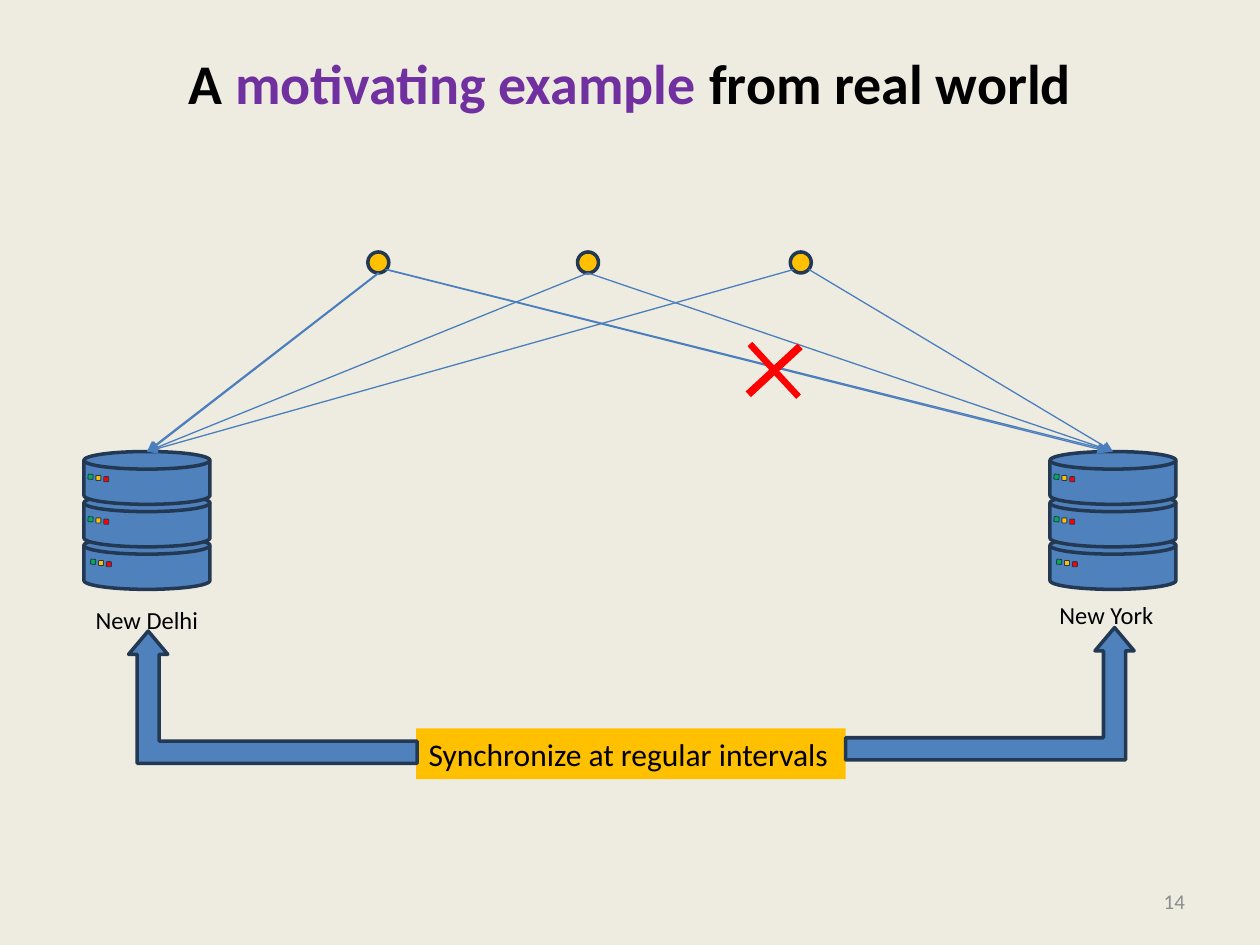
from lxml import etree
from pptx import Presentation
from pptx.dml.color import RGBColor
from pptx.enum import shapes, text
from pptx.oxml.ns import qn
from pptx.util import Pt

CREAM = RGBColor(0xEE, 0xEC, 0xE1)
BLACK = RGBColor(0, 0, 0)
PURPLE = RGBColor(0x70, 0x30, 0xA0)
GREY = RGBColor(0x8C, 0x8C, 0x8C)
BLUE = RGBColor(0x4F, 0x81, 0xBD)
NAVY = RGBColor(0x23, 0x39, 0x53)
LINK = RGBColor(0x4B, 0x7E, 0xBC)
GOLD = RGBColor(0xFF, 0xC0, 0x00)
GREEN = RGBColor(0x00, 0xB0, 0x50)
RED = RGBColor(0xFF, 0, 0)

SHAPE = shapes.MSO_SHAPE
ALIGN = text.PP_ALIGN


def add_runs(tf, runs, size, bold=False, align=ALIGN.LEFT,
             anchor=text.MSO_ANCHOR.TOP, wrap=False):
    """Write (text, colour) runs as one formatted paragraph."""
    tf.word_wrap = wrap
    tf.vertical_anchor = anchor
    p = tf.paragraphs[0]
    p.alignment = align
    for words, color in runs:
        r = p.add_run()
        r.text = words
        r.font.name = "Calibri"
        r.font.size = Pt(size)
        r.font.bold = bold
        r.font.color.rgb = color


def add_figure(parent, kind, box, fill, line_width=None, adj=(), rotation=0):
    sp = parent.shapes.add_shape(kind, *map(Pt, box))
    sp.shadow.inherit = False
    sp.fill.solid()
    sp.fill.fore_color.rgb = fill
    if line_width:
        sp.line.color.rgb = NAVY
        sp.line.width = Pt(line_width)
    else:
        sp.line.fill.background()
    for i, value in enumerate(adj):
        sp.adjustments[i] = value
    sp.rotation = rotation
    return sp


def add_label(slide, words, box, size, color=BLACK, **fmt):
    sp = slide.shapes.add_textbox(*map(Pt, box))
    add_runs(sp.text_frame, [(words, color)], size, **fmt)


def add_link(slide, start, end):
    cxn = slide.shapes.add_connector(
        shapes.MSO_CONNECTOR.STRAIGHT, *map(Pt, start + end))
    cxn.line.color.rgb = LINK
    cxn.line.width = Pt(0.75)
    ln = cxn.line._get_or_add_ln()
    etree.SubElement(ln, qn("a:tailEnd"), type="triangle")
    etree.SubElement(cxn._element.spPr, qn("a:effectLst"))


def add_title(slide, box):
    title = slide.shapes.title
    title.left, title.top, title.width, title.height = map(Pt, box)
    tf = title.text_frame
    tf.margin_bottom = Pt(42.6)
    add_runs(tf, [("A", BLACK), (" motivating example ", PURPLE),
                  ("from real world", BLACK)],
             32, bold=True, align=ALIGN.CENTER,
             anchor=text.MSO_ANCHOR.MIDDLE, wrap=True)


def add_server(slide, x, y):
    """Three stacked disks, each with three status lamps."""
    group = slide.shapes.add_group_shape()
    pitch = 24.3
    for i in reversed(range(3)):
        add_figure(group, SHAPE.FLOWCHART_MAGNETIC_DISK,
                   (x, y + i * pitch, 72, 30.2), BLUE, 2)
    for i in range(3):
        indent = 3.8 if i == 2 else 2.3
        for j, color in enumerate((GREEN, GOLD, RED)):
            add_figure(group, SHAPE.ROUNDED_RECTANGLE,
                       (x + indent + j * 4.5, y + 13 + i * pitch + j * 0.7,
                        2.9, 2.9),
                       color, 0.5, rotation=0 if j else 2.8)


def add_clients(slide, y):
    for x in (210.2, 330, 451.6):
        add_figure(slide, SHAPE.OVAL, (x, y, 12, 12), GOLD, 2)


def add_links(slide, top, bottom):
    """Join each client to both servers; the first client writes twice."""
    delhi, york = (84, bottom), (636, bottom)
    side = top - 2
    for start, end in (
            ((336, top), delhi), ((453.6, side), delhi), ((216, top), delhi),
            ((216.7, top), (85, bottom)),
            ((220.3, side), (633, bottom)), ((221, side), (633.6, bottom - 0.7)),
            ((336, top), york), ((462.2, side), york)):
        add_link(slide, start, end)


def add_sync(slide, x, y, width, height):
    """The caption bar with an arrow bending up on either side."""
    bar = add_figure(slide, SHAPE.RECTANGLE, (x, y, width, height), GOLD)
    add_runs(bar.text_frame, [("Synchronize at regular intervals", BLACK)], 18)
    span, rise = 164.9, 75.6
    for left, top, flip in ((x + width, y - 57.6, False),
                            (x - span + 0.6, y - 55.6, True)):
        arrow = add_figure(slide, SHAPE.BENT_UP_ARROW, (left, top, span, rise),
                           BLUE, 2, adj=(0.167, 0.148, 0.176))
        if flip:
            arrow._element.spPr.xfrm.set("flipH", "1")


def main():
    prs = Presentation()
    prs.slide_width, prs.slide_height = Pt(720), Pt(540)
    slide = prs.slides.add_slide(prs.slide_layouts[5])
    slide.background.fill.solid()
    slide.background.fill.fore_color.rgb = CREAM

    add_title(slide, (36, 21.6, 648, 90))
    add_label(slide, "14", (516.2, 500.4, 168, 28.8), 12, GREY,
              align=ALIGN.RIGHT, anchor=text.MSO_ANCHOR.MIDDLE, wrap=True)
    add_server(slide, 48, 258)
    add_server(slide, 600, 258)
    add_clients(slide, 144)
    add_label(slide, "New Delhi", (47.5, 342, 73.4, 24.2), 14)
    add_label(slide, "New York", (598.3, 339.4, 68.4, 24.2), 14)
    add_links(slide, 156, 258)
    add_figure(slide, SHAPE.CROSS, (421.9, 191.5, 41, 40.3), RED,
               adj=(0.454,), rotation=47.3)
    add_sync(slide, 237.8, 416.2, 245.4, 29)
    prs.save("out.pptx")


if __name__ == "__main__":
    main()
